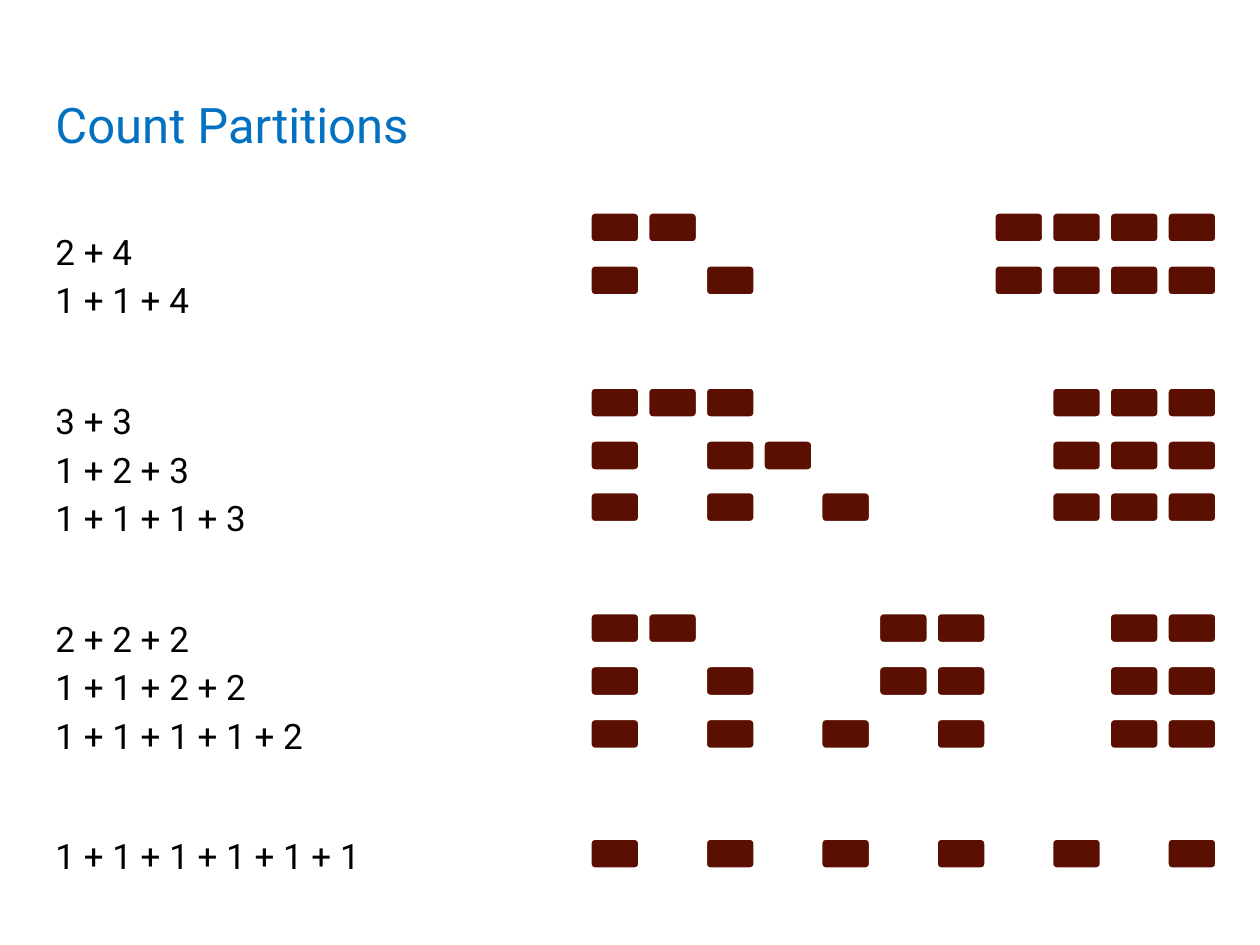
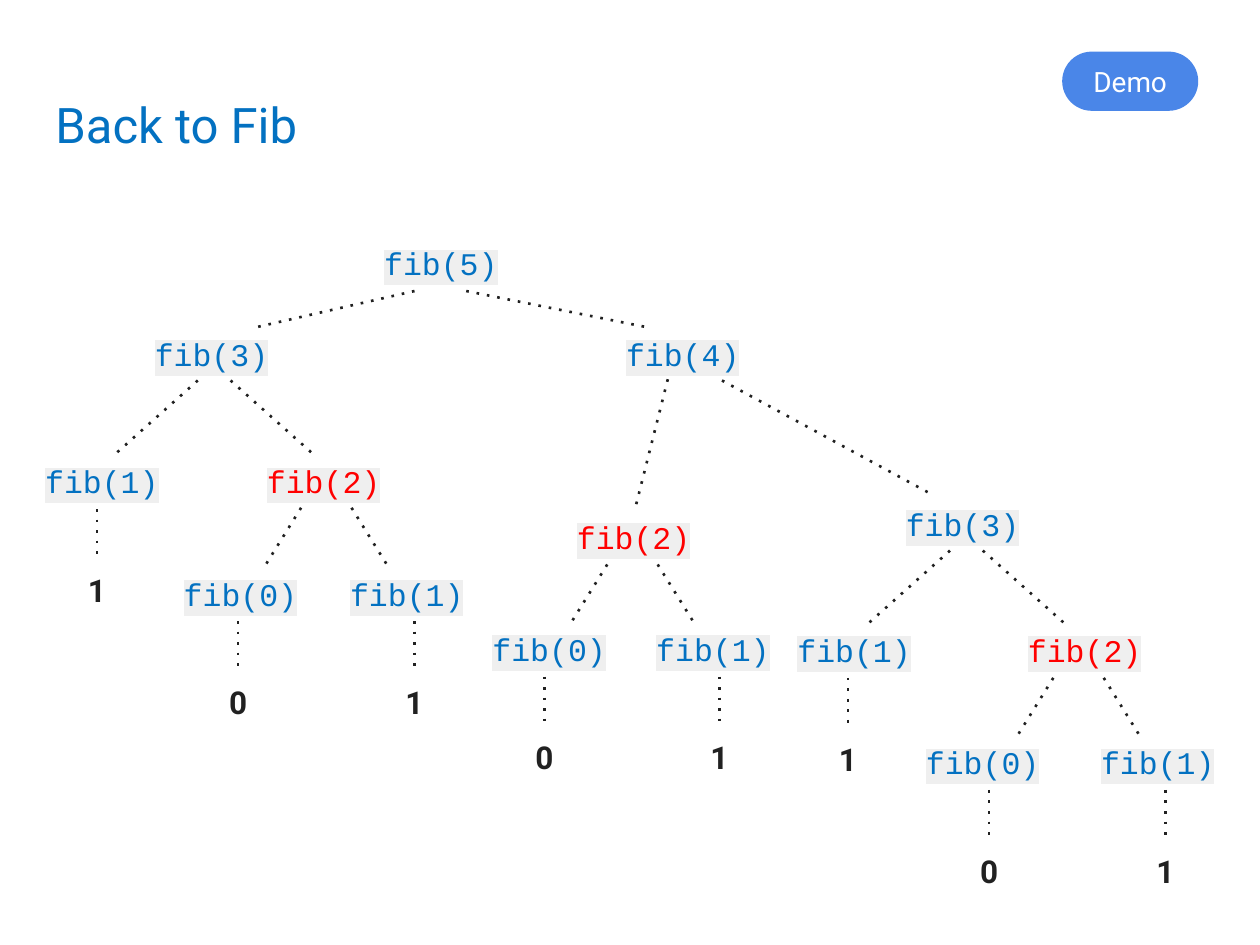
from typing import NamedTuple

from lxml.etree import SubElement
from pptx import Presentation
from pptx.dml.color import RGBColor
from pptx.enum.shapes import MSO_CONNECTOR, MSO_SHAPE
from pptx.enum.text import MSO_ANCHOR, MSO_AUTO_SIZE, PP_ALIGN
from pptx.oxml.ns import qn
from pptx.util import Inches, Pt

# Shared look
BLUE = RGBColor(0x03, 0x71, 0xC1)
RED = RGBColor(0xFF, 0x00, 0x00)
BROWN = RGBColor(0x5B, 0x0F, 0x00)
AZURE = RGBColor(0x4A, 0x86, 0xE8)
INK = RGBColor(0x21, 0x21, 0x21)
BLACK = RGBColor(0x00, 0x00, 0x00)
WHITE = RGBColor(0xFF, 0xFF, 0xFF)
GREY = "EFEFEF"
SANS = "Roboto"
CODE = "Courier New"


class Style(NamedTuple):
    size: float
    color: RGBColor
    font: str = SANS
    bold: bool = False
    mark: str = ""


class Group(NamedTuple):
    """Sums with the same largest part; each x in a row is one block."""
    tops: list[float]
    sums: list[str]
    rows: list[str]


class Call(NamedTuple):
    """A node of the tree; stem is the x of the line to its result."""
    n: int
    left: float
    top: float
    stem: float | None = None


class Fork(NamedTuple):
    """Two mirrored lines below a call."""
    mid: float
    top: float
    near: float
    far: float
    drop: float


class Edge(NamedTuple):
    x1: float
    y1: float
    x2: float
    y2: float


HEAD = Style(28, BLUE)
SUM = Style(20, BLACK)
DEMO = Style(16, WHITE)
LEAF = Style(18, INK, bold=True)

# Blocks sit on a grid of eleven columns
GRID_X, PITCH = 4.68, 0.458
GROUPS = [
    Group([1.68, 2.1], ["2 + 4", "1 + 1 + 4"],
          ["xx.....xxxx", "x.x....xxxx"]),
    Group([3.07, 3.49, 3.9], ["3 + 3", "1 + 2 + 3", "1 + 1 + 1 + 3"],
          ["xxx.....xxx", "x.xx....xxx", "x.x.x...xxx"]),
    Group([4.86, 5.28, 5.7],
          ["2 + 2 + 2", "1 + 1 + 2 + 2", "1 + 1 + 1 + 1 + 2"],
          ["xx...xx..xx", "x.x..xx..xx", "x.x.x.x..xx"]),
    Group([6.65], ["1 + 1 + 1 + 1 + 1 + 1"], ["x.x.x.x.x.x"]),
]

CALLS = [
    Call(5, 2.95, 1.87),
    Call(3, 1.13, 2.59), Call(4, 4.87, 2.59),
    Call(1, 0.26, 3.6, 0.77), Call(2, 2.02, 3.6),
    Call(0, 1.36, 4.49, 1.89), Call(1, 2.68, 4.49, 3.29),
    Call(2, 4.48, 4.04), Call(3, 7.09, 3.94),
    Call(0, 3.81, 4.93, 4.32), Call(1, 5.11, 4.93, 5.71),
    Call(1, 6.23, 4.94, 6.73), Call(2, 8.06, 4.94),
    Call(0, 7.25, 5.83, 7.85), Call(1, 8.64, 5.83, 9.25),
]
FORKS = [Fork(x, y, 0.13, 0.77, 0.57) for x, y in [(1.7, 3.02), (7.67, 4.37)]]
FORKS += [Fork(x, y, 0.2, 0.48, 0.45)
          for x, y in [(2.59, 4.03), (5.02, 4.48), (8.56, 5.38)]]
EDGES = [
    Edge(3.29, 2.31, 2.02, 2.6), Edge(3.7, 2.31, 5.15, 2.6),
    Edge(5.3, 3.01, 5.04, 4.04), Edge(5.73, 3.02, 7.37, 3.91),
]


def box(*sizes: float) -> list[int]:
    return [Inches(size) for size in sizes]


def place(shape, *sizes: float) -> None:
    shape.left, shape.top, shape.width, shape.height = box(*sizes)


def set_frame(shape, anchor: MSO_ANCHOR):
    frame = shape.text_frame
    frame.word_wrap = True
    frame.auto_size = MSO_AUTO_SIZE.NONE
    frame.vertical_anchor = anchor
    frame.margin_left = frame.margin_right = Inches(0.1)
    frame.margin_top = frame.margin_bottom = Inches(0.1)
    return frame


def add_run(para, text: str, style: Style) -> None:
    run = para.add_run()
    run.text = text
    font = run.font
    font.size, font.name, font.bold = Pt(style.size), style.font, style.bold
    font.color.rgb = style.color
    if style.mark:
        props = run._r.get_or_add_rPr()
        mark = SubElement(props, qn("a:highlight"))
        SubElement(mark, qn("a:srgbClr"), val=style.mark)
        props.find(qn("a:solidFill")).addnext(mark)


def write(shape, text: str, style: Style, align: PP_ALIGN,
          anchor: MSO_ANCHOR = MSO_ANCHOR.MIDDLE) -> None:
    para = set_frame(shape, anchor).paragraphs[0]
    para.alignment = align
    add_run(para, text, style)


def add_slide(deck, kind: int, title: str):
    slide = deck.slides.add_slide(deck.slide_layouts[kind])
    place(slide.shapes.title, 0.34, 0.65, 9.32, 0.83)
    write(slide.shapes.title, title, HEAD, PP_ALIGN.LEFT, MSO_ANCHOR.TOP)
    return slide


def add_round(slide, sizes: list[int], fill: RGBColor, bend: float):
    shape = slide.shapes.add_shape(MSO_SHAPE.ROUNDED_RECTANGLE, *sizes)
    shape.adjustments[0] = bend
    shape.shadow.inherit = False
    shape.fill.solid()
    shape.fill.fore_color.rgb = fill
    shape.line.fill.background()
    return shape


def add_text(slide, sizes: list[int], text: str, style: Style,
             align: PP_ALIGN = PP_ALIGN.LEFT) -> None:
    write(slide.shapes.add_textbox(*sizes), text, style, align)


def add_dots(slide, edge: Edge) -> None:
    line = slide.shapes.add_connector(MSO_CONNECTOR.STRAIGHT, *box(*edge))
    line.line.color.rgb = INK
    line.line.width = Pt(1.5)
    props = line._element.spPr
    SubElement(props.find(qn("a:ln")), qn("a:prstDash"), val="dot")
    SubElement(props, qn("a:effectLst"))


def add_sums(slide) -> None:
    body = slide.placeholders[1]
    place(body, 0.34, 1.68, 3.3, 5.38)
    frame = set_frame(body, MSO_ANCHOR.TOP)
    para = frame.paragraphs[0]
    for g, group in enumerate(GROUPS):
        for s, text in enumerate(group.sums):
            if g or s:
                para = frame.add_paragraph()
            props = para._p.get_or_add_pPr()
            props.set("marL", "0")
            props.set("indent", "0")
            SubElement(props, qn("a:buNone"))
            para.line_spacing = 1.15
            para.space_before = Pt(41.5 if g and not s else 0)
            add_run(para, text, SUM)


def add_blocks(slide) -> None:
    for group in GROUPS:
        for top, row in zip(group.tops, group.rows):
            for col, cell in enumerate(row):
                if cell == "x":
                    sizes = box(GRID_X + col * PITCH, top, 0.4, 0.25)
                    block = add_round(slide, sizes, BROWN, 0.167)
                    block.line.color.rgb = WHITE
                    block.line.width = Pt(2.25)


def add_call(slide, call: Call) -> None:
    color = RED if call.n == 2 else BLUE
    add_text(slide, box(call.left, call.top, 1.11, 0.44), f"fib({call.n})",
             Style(18, color, CODE, mark=GREY))
    if call.stem is not None:
        stem, top = call.stem, call.top
        add_dots(slide, Edge(stem, top + 0.44, stem, top + 0.82))
        add_text(slide, box(stem - 0.5, top + 0.86, 1, 0.44), str(call.n),
                 LEAF, PP_ALIGN.CENTER)


def add_fork(slide, fork: Fork) -> None:
    for side in (-1, 1):
        add_dots(slide, Edge(fork.mid + side * fork.near, fork.top,
                             fork.mid + side * fork.far, fork.top + fork.drop))


def main() -> None:
    deck = Presentation()
    deck.slide_width, deck.slide_height = box(10, 7.5)

    # Partitions of six
    slide = add_slide(deck, 1, "Count Partitions")
    add_blocks(slide)
    add_sums(slide)

    # Call tree
    slide = add_slide(deck, 5, "Back to Fib")
    demo = add_round(slide, box(8.43, 0.41, 1.08, 0.47), AZURE, 0.5)
    write(demo, "Demo", DEMO, PP_ALIGN.CENTER)
    for edge in EDGES:
        add_dots(slide, edge)
    for fork in FORKS:
        add_fork(slide, fork)
    for call in CALLS:
        add_call(slide, call)

    deck.save("out.pptx")


if __name__ == "__main__":
    main()
